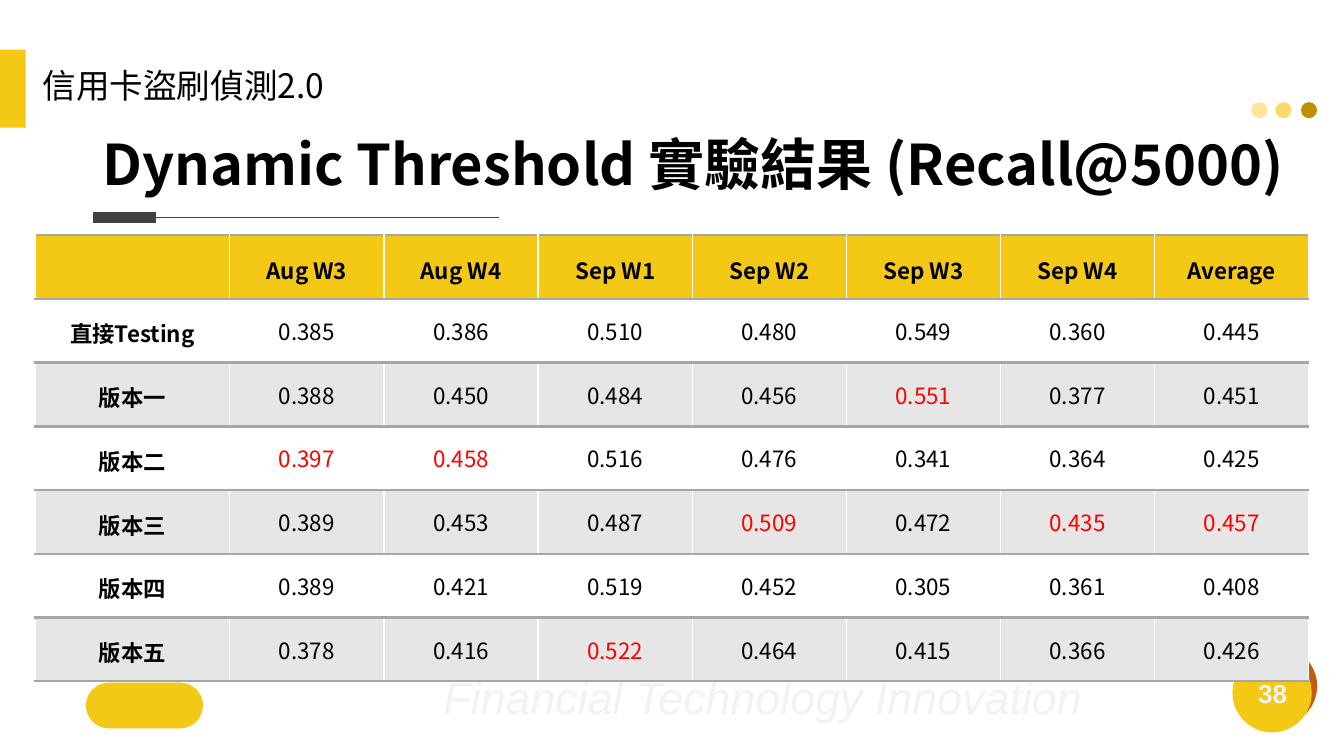
import pptx
import pptx.util
import pptx.dml.color
import pptx.enum.shapes
import pptx.enum.text
import pptx.oxml
from pptx.oxml.ns import qn
from lxml import etree

Inches = pptx.util.Inches
Pt = pptx.util.Pt
SHAPE = pptx.enum.shapes.MSO_SHAPE
ALIGN = pptx.enum.text.PP_ALIGN
ANCHOR = pptx.enum.text.MSO_ANCHOR

COLORS = {
    "yellow": "F3C915", "orange": "C55A11", "dark": "404040", "pale": "F2F2F2",
    "gold": "BF9000", "amber": "FFD966", "cream": "FEE599",
    "black": "000000", "white": "FFFFFF", "band": "E7E6E6",
    "rule": "A6A6A6", "best": "FF0000",
}
CJK = "Noto Sans CJK TC"

WEEKS = ["", "Aug W3", "Aug W4", "Sep W1", "Sep W2", "Sep W3", "Sep W4", "Average"]
RECALL = {
    "直接Testing": [0.385, 0.386, 0.510, 0.480, 0.549, 0.360, 0.445],
    "版本一": [0.388, 0.450, 0.484, 0.456, 0.551, 0.377, 0.451],
    "版本二": [0.397, 0.458, 0.516, 0.476, 0.341, 0.364, 0.425],
    "版本三": [0.389, 0.453, 0.487, 0.509, 0.472, 0.435, 0.457],
    "版本四": [0.389, 0.421, 0.519, 0.452, 0.305, 0.361, 0.408],
    "版本五": [0.378, 0.416, 0.522, 0.464, 0.415, 0.366, 0.426],
}


def rgb(name):
    return pptx.dml.color.RGBColor.from_string(COLORS[name])


def write(tf, text, size, color="black", font=CJK, bold=False, italic=False,
          align=None, spacing=None):
    p = tf.paragraphs[0]
    if text:
        p.add_run().text = text
    p.alignment = align
    p.line_spacing = spacing
    p.font.size = Pt(size)
    p.font.bold = bold
    p.font.italic = italic
    p.font.color.rgb = rgb(color)
    p.font.name = font
    defaults = p._p.get_or_add_pPr().get_or_add_defRPr()
    etree.SubElement(defaults, qn("a:ea"), typeface=font)


def set_frame(tf, anchor):
    tf.word_wrap = True
    tf.auto_size = pptx.enum.text.MSO_AUTO_SIZE.NONE
    tf.vertical_anchor = anchor
    tf.margin_left = tf.margin_right = Inches(0.07)
    tf.margin_top = tf.margin_bottom = Inches(0.04)


def add_shape(s, kind, x, y, w, h, color):
    sp = s.shapes.add_shape(kind, Inches(x), Inches(y), Inches(w), Inches(h))
    sp.shadow.inherit = False
    sp.fill.solid()
    sp.fill.fore_color.rgb = rgb(color)
    sp.line.fill.background()
    return sp


def add_rule(s, x1, x2, y, width):
    line = s.shapes.add_connector(pptx.enum.shapes.MSO_CONNECTOR.STRAIGHT,
                                  Inches(x1), Inches(y), Inches(x2), Inches(y))
    line.line.color.rgb = rgb("dark")
    line.line.width = Pt(width)
    etree.SubElement(line._element.spPr, qn("a:effectLst"))


def add_text(s, x, y, w, h, text, size, anchor=ANCHOR.TOP, **style):
    tf = s.shapes.add_textbox(Inches(x), Inches(y), Inches(w), Inches(h)).text_frame
    set_frame(tf, anchor)
    write(tf, text, size, **style)


def add_title(s, text):
    title = s.shapes.title
    title.left, title.top = Inches(0.69), Inches(0.99)
    title.width, title.height = Inches(9.15), Inches(0.51)
    set_frame(title.text_frame, ANCHOR.MIDDLE)
    write(title.text_frame, text, 30, bold=True, align=ALIGN.LEFT, spacing=0.9)


def set_borders(cell):
    tc_pr = cell._tc.get_or_add_tcPr()
    for side, color, width in (("L", "white", 0.75), ("R", "white", 0.75),
                               ("T", "rule", 1.5), ("B", "rule", 1.5)):
        ln = etree.SubElement(tc_pr, qn(f"a:ln{side}"), w=str(Pt(width)))
        fill = etree.SubElement(ln, qn("a:solidFill"))
        etree.SubElement(fill, qn("a:srgbClr"), val=COLORS[color])


def fill_cell(cell, text, fill, **style):
    set_borders(cell)
    cell.fill.solid()
    cell.fill.fore_color.rgb = rgb(fill)
    cell.vertical_anchor = ANCHOR.MIDDLE
    cell.margin_left = cell.margin_right = Inches(0.08)
    cell.margin_top = cell.margin_bottom = Inches(0.08)
    write(cell.text_frame, text, 12, align=ALIGN.CENTER, **style)


def add_recall_table(s, x, y, w, h, label_w):
    rows, cols = len(RECALL) + 1, len(WEEKS)
    table = s.shapes.add_table(rows, cols, Inches(x), Inches(y),
                               Inches(w), Inches(h)).table
    table.first_row = table.horz_banding = False
    for row in table.rows:
        row.height = Inches(h / rows)
    for i, col in enumerate(table.columns):
        col.width = Inches((w - label_w) / (cols - 1) if i else label_w)

    for c, week in enumerate(WEEKS):
        fill_cell(table.cell(0, c), week, "yellow", bold=True, spacing=1.15)
    best = [max(column) for column in zip(*RECALL.values())]
    for r, (version, values) in enumerate(RECALL.items(), 1):
        fill = "white" if r % 2 else "band"
        fill_cell(table.cell(r, 0), version, fill, bold=True, spacing=1.15)
        for c, value in enumerate(values, 1):
            color = "best" if value == best[c - 1] else "black"
            fill_cell(table.cell(r, c), f"{value:.3f}", fill, color=color)


def add_decoration(s):
    add_shape(s, SHAPE.RECTANGLE, 0, 0.37, 0.19, 0.58, "yellow")
    add_rule(s, 0.79, 3.71, 1.62, 0.75)
    add_rule(s, 0.69, 1.16, 1.62, 6)
    add_shape(s, SHAPE.OVAL, 9.21, 4.81, 0.59, 0.59, "orange")
    add_shape(s, SHAPE.OVAL, 9.17, 4.86, 0.59, 0.59, "yellow")
    pill = add_shape(s, SHAPE.ROUNDED_RECTANGLE, 0.64, 5.08, 0.87, 0.34, "yellow")
    pill.adjustments[0] = 0.5
    for x, color in ((9.68, "gold"), (9.49, "amber"), (9.31, "cream")):
        add_shape(s, SHAPE.OVAL, x, 0.76, 0.12, 0.12, color)


def main():
    prs = pptx.Presentation()
    prs.slide_width, prs.slide_height = Inches(10), Inches(10 * 9 / 16)
    s = prs.slides.add_slide(prs.slide_layouts[5])
    add_decoration(s)
    add_text(s, 3.23, 4.94, 5.96, 0.48, "Financial Technology Innovation", 24,
             color="pale", font="Arial", italic=True)
    add_title(s, "Dynamic Threshold 實驗結果 (Recall@5000)")
    add_text(s, 9.26, 5.02, 0.42, 0.27, "38", 14, anchor=ANCHOR.MIDDLE,
             color="pale", font="Arial", bold=True, align=ALIGN.CENTER)
    add_text(s, 0.19, 0.48, 2.35, 0.38, "信用卡盜刷偵測2.0", 18,
             align=ALIGN.CENTER, spacing=0.9)
    add_recall_table(s, 0.26, 1.75, 9.48, 3.32, 1.45)
    prs.save("out.pptx")


if __name__ == "__main__":
    main()
